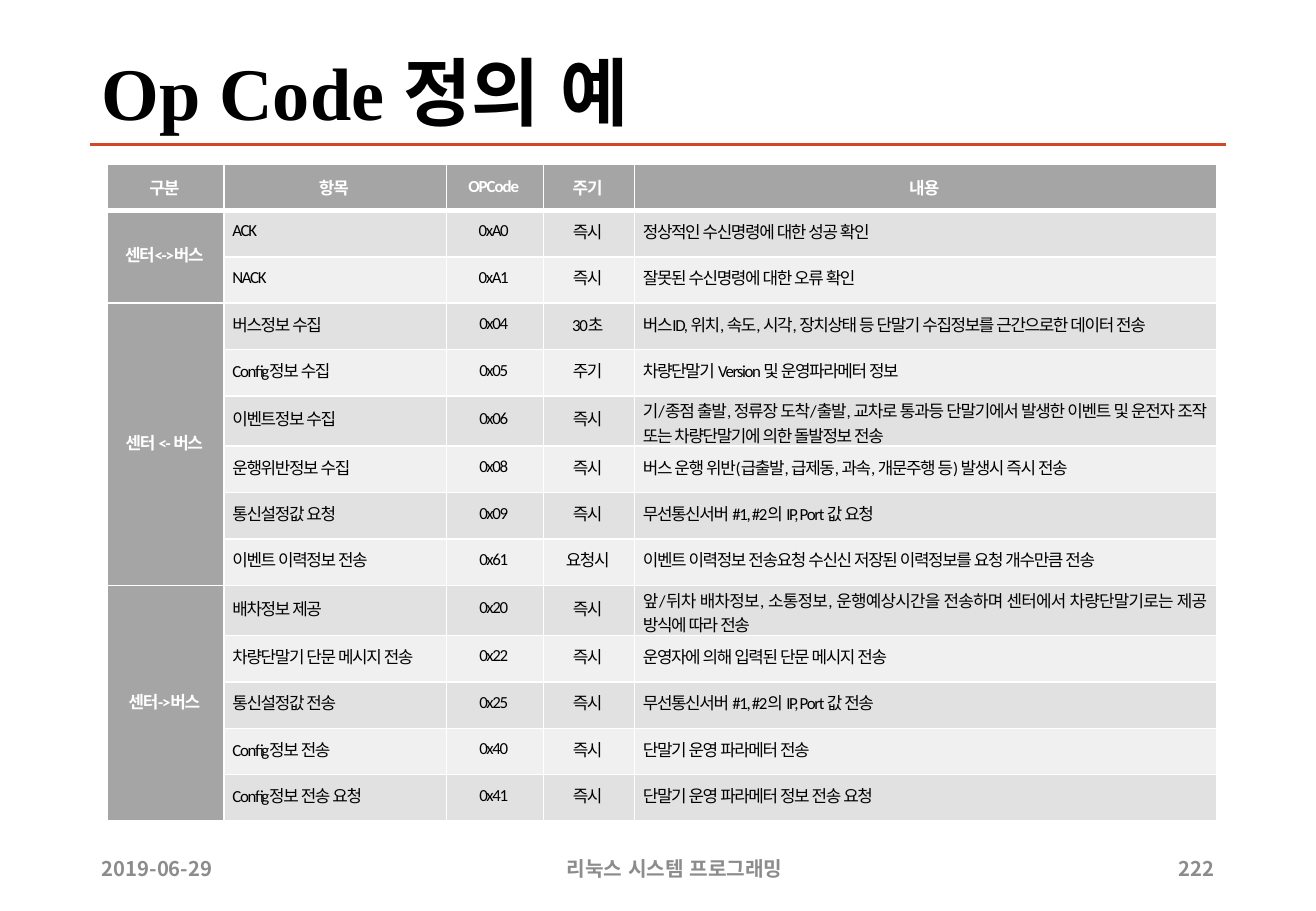
from lxml import etree
from pptx import Presentation
from pptx import util as u
from pptx.dml.color import RGBColor
from pptx.enum import lang, shapes, text
from pptx.oxml import ns

WHITE = RGBColor(0xFF, 0xFF, 0xFF)
BLACK = RGBColor(0x00, 0x00, 0x00)
ORANGE = RGBColor(0xD2, 0x47, 0x26)
FOOTER_GRAY = RGBColor(0x8C, 0x8C, 0x8C)
HEAD_GRAY = RGBColor(0xA5, 0xA5, 0xA5)
BANDS = [RGBColor(0xE1, 0xE1, 0xE1), RGBColor(0xF0, 0xF0, 0xF0)]
KOREAN_FONT = "Noto Sans CJK KR"
LEFT = text.PP_ALIGN.LEFT
CENTER = text.PP_ALIGN.CENTER
RIGHT = text.PP_ALIGN.RIGHT
JUSTIFY = text.PP_ALIGN.JUSTIFY

COLUMN_WIDTHS = [2.44, 4.65, 2.03, 1.9, 12.17]
ROW_HEIGHT = 0.97
HEADINGS = ["구분", "항목", "OPCode", "주기", "내용"]
GROUPS = [
    ("센터<->버스", [
        ("ACK", "0xA0", "즉시", "정상적인 수신명령에 대한 성공 확인"),
        ("NACK", "0xA1", "즉시", "잘못된 수신명령에 대한 오류 확인"),
    ]),
    ("센터 <- 버스", [
        ("버스정보 수집", "0x04", "30초",
         "버스ID, 위치, 속도, 시각, 장치상태 등 단말기 수집정보를 근간으로한 데이터 전송"),
        ("Config정보 수집", "0x05", "주기", "차량단말기 Version 및 운영파라메터 정보"),
        ("이벤트정보 수집", "0x06", "즉시",
         "기/종점 출발, 정류장 도착/출발, 교차로 통과등 단말기에서 발생한 이벤트 및 "
         "운전자 조작 또는 차량단말기에 의한 돌발정보 전송"),
        ("운행위반정보 수집", "0x08", "즉시",
         "버스 운행 위반(급출발, 급제동, 과속, 개문주행 등) 발생시 즉시 전송"),
        ("통신설정값 요청", "0x09", "즉시", "무선통신서버 #1, #2의 IP, Port 값 요청"),
        ("이벤트 이력정보 전송", "0x61", "요청시",
         "이벤트 이력정보 전송요청 수신신 저장된 이력정보를 요청 개수만큼 전송"),
    ]),
    ("센터->버스", [
        ("배차정보 제공", "0x20", "즉시",
         "앞/뒤차 배차정보, 소통정보, 운행예상시간을 전송하며 센터에서 차량단말기로는 제공 "
         "방식에 따라 전송"),
        ("차량단말기 단문 메시지 전송", "0x22", "즉시", "운영자에 의해 입력된 단문 메시지 전송"),
        ("통신설정값 전송", "0x25", "즉시", "무선통신서버 #1, #2의 IP, Port 값 전송"),
        ("Config정보 전송", "0x40", "즉시", "단말기 운영 파라메터 전송"),
        ("Config정보 전송 요청", "0x41", "즉시", "단말기 운영 파라메터 정보 전송 요청"),
    ]),
]


def write(frame, words, size=10, font="Calibri", color=BLACK, bold=False,
          align=LEFT, line_spacing=None, tracking=0, margin=0):
    para = frame.paragraphs[0]
    para.alignment = align
    if line_spacing:
        para.line_spacing = line_spacing
    if margin:
        properties = para._p.get_or_add_pPr()
        for side in ("marL", "marR"):
            properties.set(side, str(u.Cm(margin)))
        properties.set("indent", "0")
    span = para.add_run()
    span.text = words
    span.font.size = u.Pt(size)
    span.font.name = font
    span.font.bold = bold
    span.font.color.rgb = color
    span.font.language_id = lang.MSO_LANGUAGE_ID.KOREAN
    properties = span._r.get_or_add_rPr()
    if tracking:
        properties.set("spc", str(round(tracking * 100)))
    east_asian = etree.SubElement(properties, ns.qn("a:ea"))
    east_asian.set("typeface", KOREAN_FONT)


def add_label(page, words, left, top, width, height, **style):
    box = page.shapes.add_textbox(u.Cm(left), u.Cm(top), u.Cm(width), u.Cm(height))
    box.text_frame.word_wrap = True
    box.text_frame.vertical_anchor = text.MSO_ANCHOR.MIDDLE
    write(box.text_frame, words, **style)


def add_rule(page, left, right, height):
    rule = page.shapes.add_connector(
        shapes.MSO_CONNECTOR.STRAIGHT, u.Cm(left), u.Cm(height), u.Cm(right), u.Cm(height))
    rule.line.color.rgb = ORANGE
    rule.line.width = u.Pt(2)
    etree.SubElement(rule._element.spPr, ns.qn("a:effectLst"))


def style_cell(cell, fill, top=1, bottom=1):
    cell.vertical_anchor = text.MSO_ANCHOR.MIDDLE
    cell.margin_left = 0
    cell.margin_top = cell.margin_right = u.Cm(0.05)
    cell.margin_bottom = u.Cm(0.15)
    properties = cell._tc.get_or_add_tcPr()
    for side, width in (("lnL", 1), ("lnR", 1), ("lnT", top), ("lnB", bottom)):
        border = etree.SubElement(properties, ns.qn(f"a:{side}"), w=str(u.Pt(width)))
        paint = etree.SubElement(border, ns.qn("a:solidFill"))
        etree.SubElement(paint, ns.qn("a:srgbClr"), val=str(WHITE))
    cell.fill.solid()
    cell.fill.fore_color.rgb = fill


def add_code_table(page):
    row_count = 1 + sum(len(entries) for _, entries in GROUPS)
    table = page.shapes.add_table(
        row_count, len(HEADINGS), u.Cm(2.24), u.Cm(3.43),
        u.Cm(sum(COLUMN_WIDTHS)), u.Cm(ROW_HEIGHT * row_count)).table
    table.first_row = table.horz_banding = False
    for column, width in zip(table.columns, COLUMN_WIDTHS):
        column.width = u.Cm(width)
    for row in table.rows:
        row.height = u.Cm(ROW_HEIGHT)

    for index, heading in enumerate(HEADINGS):
        cell = table.cell(0, index)
        style_cell(cell, HEAD_GRAY, bottom=3)
        write(cell.text_frame, heading, color=WHITE, bold=True, align=CENTER,
              line_spacing=1.16, tracking=-0.6 if heading == "OPCode" else -0.5)

    body = {"tracking": -0.8, "margin": 0.18}
    first = 1
    for direction, entries in GROUPS:
        for number, entry in enumerate(entries, first):
            top = 3 if number == 1 else 1
            style_cell(table.cell(number, 0), HEAD_GRAY, top=top)
            for index, words in enumerate(entry, 1):
                cell = table.cell(number, index)
                style_cell(cell, BANDS[(number - 1) % 2], top=top)
                write(cell.text_frame, words,
                      align=CENTER if index in (2, 3) else JUSTIFY, **body)
        group = table.cell(first, 0)
        group.merge(table.cell(first + len(entries) - 1, 0))
        write(group.text_frame, direction, color=WHITE, bold=True, align=CENTER, **body)
        first += len(entries)


def add_footer(page):
    for words, left, width, align in (
            ("2019-06-29", 1.88, 3.23, LEFT),
            ("리눅스 시스템 프로그래밍", 11.3, 5.61, CENTER),
            ("222", 24.28, 1.35, RIGHT)):
        add_label(page, words, left, 17.65, width, 1.02, size=12, font=KOREAN_FONT,
                  color=FOOTER_GRAY, bold=True, align=align)


def main():
    deck = Presentation()
    deck.slide_width = u.Cm(27.51)
    deck.slide_height = u.Cm(19.05)
    page = deck.slides.add_slide(deck.slide_layouts[6])
    add_rule(page, 1.88, 25.63, 3.02)
    add_label(page, "Op Code 정의 예", 1.88, 1.02, 23.72, 2.01, size=44,
              font="Times New Roman", bold=True, line_spacing=0.9)
    add_footer(page)
    add_code_table(page)
    deck.save("out.pptx")


if __name__ == "__main__":
    main()
